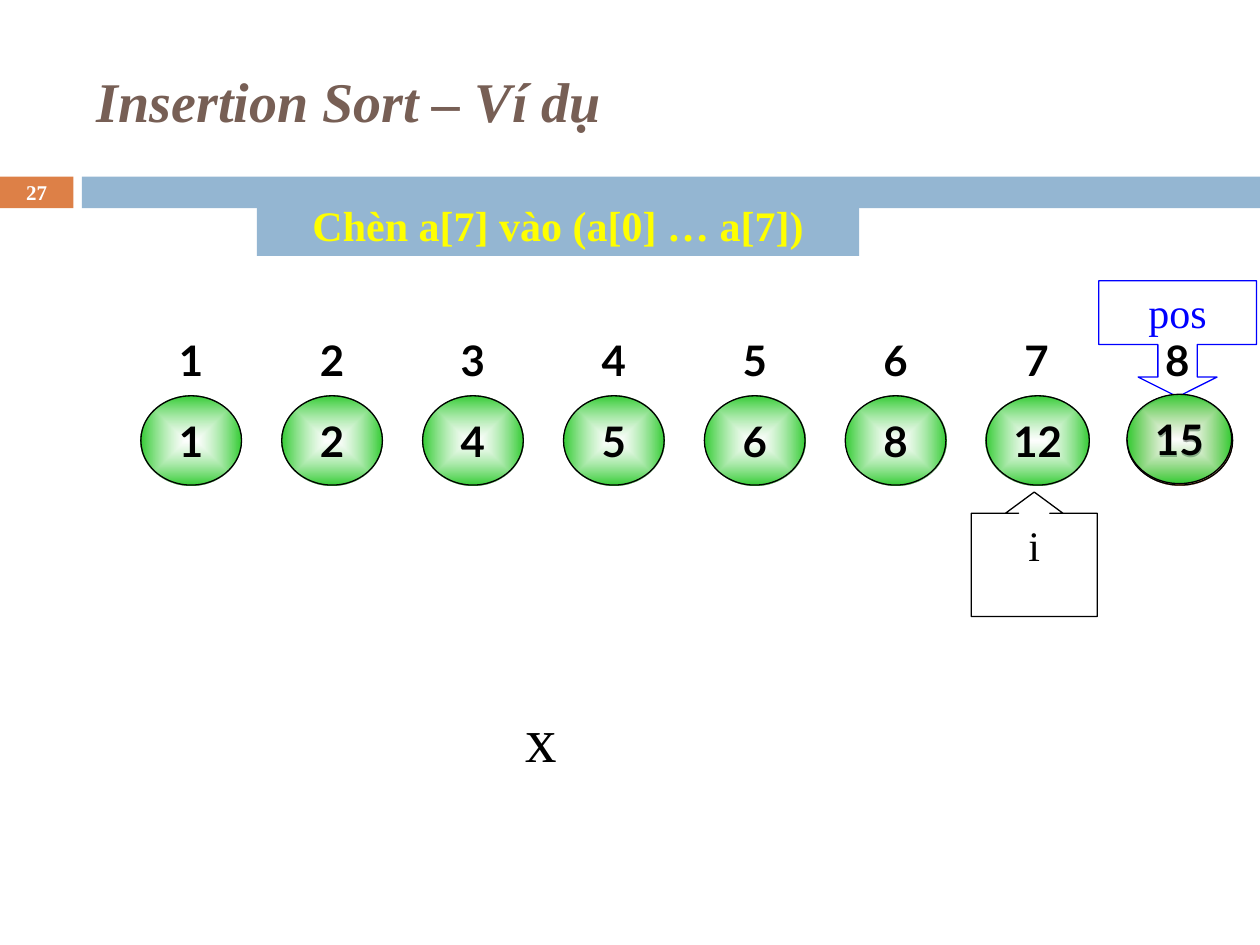
from pptx import Presentation
from pptx.dml.color import RGBColor
from pptx.enum.shapes import MSO_SHAPE
from pptx.enum.text import MSO_ANCHOR, PP_ALIGN
from pptx.oxml import parse_xml
from pptx.oxml.ns import nsdecls, qn
from pptx.util import Cm, Pt

RECT, OVAL = MSO_SHAPE.RECTANGLE, MSO_SHAPE.OVAL
UP, DOWN = MSO_SHAPE.UP_ARROW_CALLOUT, MSO_SHAPE.DOWN_ARROW_CALLOUT
TOP, MIDDLE = MSO_ANCHOR.TOP, MSO_ANCHOR.MIDDLE
LEFT, CENTER = PP_ALIGN.LEFT, PP_ALIGN.CENTER
SERIF, SANS = "Times New Roman", "Lato"
BLUE, ORANGE, GREEN = "94B6D2", "DD8047", "33CC33"


def add_box(kind, box, text="", size=24, font=SERIF, color="000000", bold=False,
            fill=None, line=None, anchor=MIDDLE, align=CENTER):
    sp = s.shapes.add_shape(kind, *[Cm(v) for v in box])
    sp.shadow.inherit = False
    if fill:
        sp.fill.solid()
        sp.fill.fore_color.rgb = RGBColor.from_string(fill)
    else:
        sp.fill.background()
    if line:
        sp.line.color.rgb = RGBColor.from_string(line)
        sp.line.width = Pt(0.75)
    else:
        sp.line.fill.background()
    tf = sp.text_frame
    tf.text = text
    tf.word_wrap = False
    tf.vertical_anchor = anchor
    p = tf.paragraphs[0]
    p.alignment = align
    for r in p.runs:
        r.font.name, r.font.size, r.font.bold = font, Pt(size), bold
        r.font.color.rgb = RGBColor.from_string(color)
    return sp


def add_ball(box, text, color):
    sp = add_box(OVAL, box, text, font=SANS, bold=True, fill=color, line="000000")
    # Translucent white centre fading out to the ball colour
    gradient = parse_xml(
        f'<a:gradFill {nsdecls("a")} rotWithShape="1"><a:gsLst>'
        '<a:gs pos="0"><a:srgbClr val="FFFFFF"><a:alpha val="60000"/></a:srgbClr></a:gs>'
        f'<a:gs pos="100000"><a:srgbClr val="{color}"/></a:gs></a:gsLst>'
        '<a:path path="rect"><a:fillToRect l="50000" t="50000" r="50000" b="50000"/></a:path>'
        '</a:gradFill>')
    props = sp.fill._xPr
    props.replace(props.find(qn("a:solidFill")), gradient)


prs = Presentation()
prs.slide_width, prs.slide_height = Cm(25.4), Cm(19.05)
s = prs.slides.add_slide(prs.slide_layouts[6])

# Title and page bar
add_box(RECT, (0, 3.56, 1.48, 0.64), "27", 12, color="FFFFFF", bold=True, fill=ORANGE)
add_box(RECT, (1.65, 3.56, 23.75, 0.64), fill=BLUE)
title = add_box(RECT, (1.7, 0.64, 22.66, 2.74), "Insertion Sort – Ví dụ", 32,
                color="775F55", bold=True, align=LEFT)
title.text_frame.paragraphs[0].runs[0].font.italic = True

# Array values
pitch = 2.84
values = [1, 2, 4, 5, 6, 8, 12, 15]
widths = [2.03] * 6 + [2.08, 2.13]
for i, (value, width) in enumerate(zip(values, widths)):
    color = ORANGE if i == 7 else GREEN
    add_ball((pitch * (i + 1), 7.98, width, 1.8), str(value), color)

# Position numbers above the values
for n in range(1, 9):
    add_box(OVAL, (pitch * n, 6.35, 2.03, 1.8), str(n), font=SANS, bold=True)

# Index markers and the held value
marker_i = add_box(UP, (19.58, 9.92, 2.54, 2.51), "i", line="000000", anchor=TOP)
marker_pos = add_box(DOWN, (22.15, 5.66, 3.18, 2.34), "pos", color="0000FF",
                     line="0000FF", anchor=TOP)
for sp, shape_values in ((marker_i, (0.25, 0.23, 0.17, 0.99)),
                         (marker_pos, (0.34, 0.34, 0.17, 0.55))):
    for k, v in enumerate(shape_values):
        sp.adjustments[k] = v
add_box(RECT, (9.96, 13.97, 1.9, 1.78), "x", 36)

# Step banner
add_box(RECT, (5.18, 3.89, 12.14, 1.27), "Chèn a[7] vào (a[0] … a[7])",
        color="FFFF00", bold=True, fill=BLUE)

# Inserted value on top of its slot
add_ball((pitch * 8, 7.95, 2.11, 1.8), "15", GREEN)

prs.save("out.pptx")
